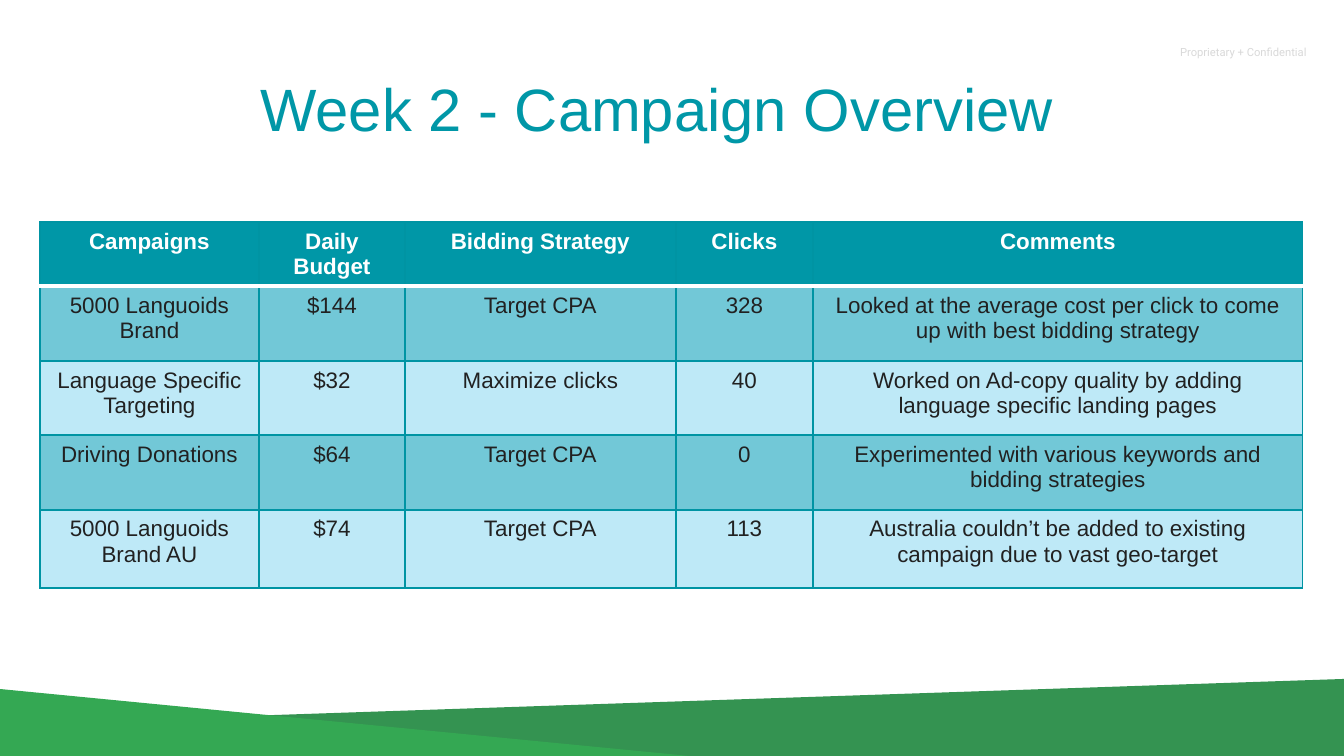
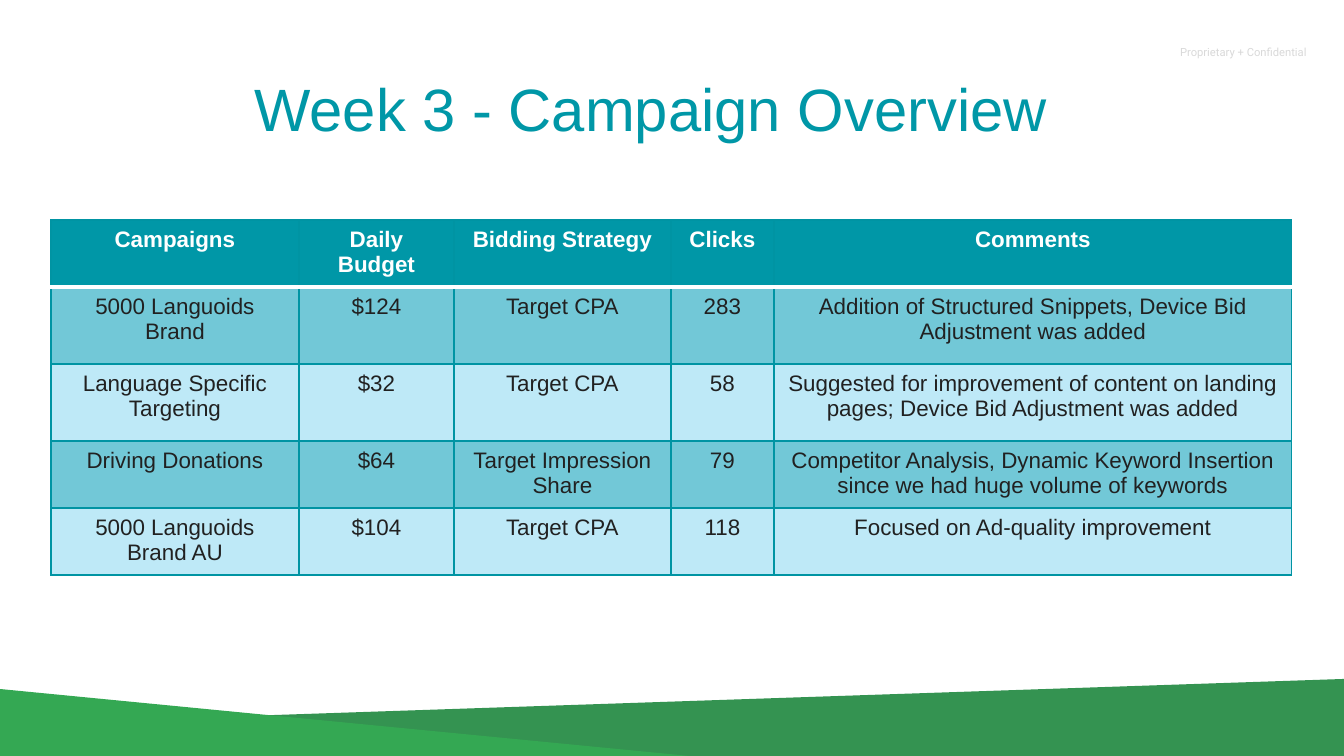
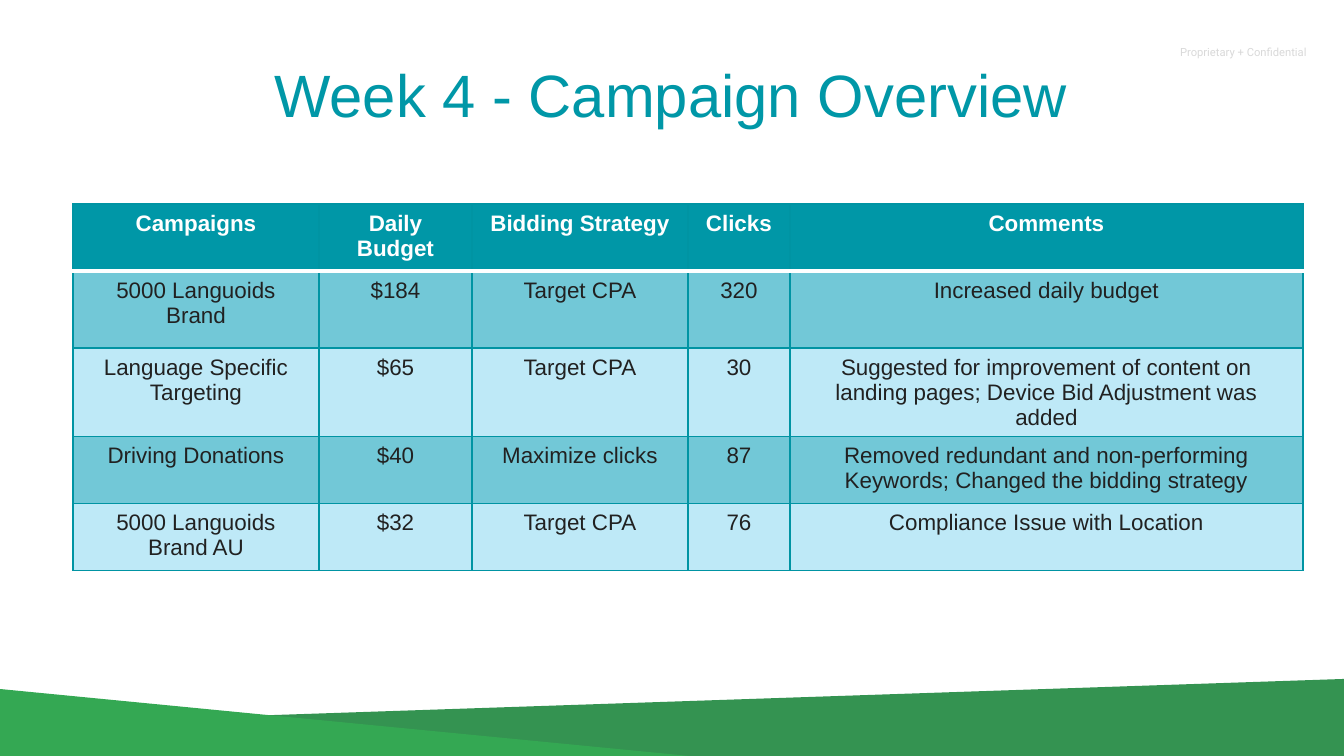
from dataclasses import dataclass

from pptx import Presentation
from pptx.dml.color import RGBColor
from pptx.enum.text import MSO_ANCHOR, MSO_AUTO_SIZE, PP_ALIGN
from pptx.oxml.ns import qn
from pptx.util import Pt
from lxml.etree import SubElement

EMU_PER_PX = 914400 / 134.4
SLIDE_SIZE = (1344, 756)
TITLE_SIZE = (972, 112)
INSET = 13

DARK_BAND = [(1348, 759), (1345, 679), (11, 724), (12, 755)]
LIGHT_BAND = [(699, 757), (-1, 689), (-1, 758)]

HEADINGS = ("Campaigns", "Daily Budget", "Bidding Strategy", "Clicks", "Comments")
CAMPAIGNS = (
    "5000 Languoids Brand",
    "Language Specific Targeting",
    "Driving Donations",
    "5000 Languoids Brand AU",
)

WEEKS = [
    {
        "number": 2,
        "title_at": (171, 52),
        "table_at": (40, 222),
        "columns": (219, 146, 271, 137, 490),
        "rows": (64, 75, 74, 75, 78),
        "results": [
            ("$144", "Target CPA", "328",
             "Looked at the average cost per click to come up with best bidding strategy"),
            ("$32", "Maximize clicks", "40",
             "Worked on Ad-copy quality by adding language specific landing pages"),
            ("$64", "Target CPA", "0",
             "Experimented with various keywords and bidding strategies"),
            ("$74", "Target CPA", "113",
             "Australia couldn’t be added to existing campaign due to vast geo-target"),
        ],
    },
    {
        "number": 3,
        "title_at": (165, 52),
        "table_at": (51, 220),
        "columns": (248, 155, 217, 103, 518),
        "rows": (67, 77, 77, 67, 67),
        "results": [
            ("$124", "Target CPA", "283",
             "Addition of Structured Snippets, Device Bid Adjustment was added"),
            ("$32", "Target CPA", "58",
             "Suggested for improvement of content on landing pages; "
             "Device Bid Adjustment was added"),
            ("$64", "Target Impression Share", "79",
             "Competitor Analysis, Dynamic Keyword Insertion "
             "since we had huge volume of keywords"),
            ("$104", "Target CPA", "118", "Focused on Ad-quality improvement"),
        ],
    },
    {
        "number": 4,
        "title_at": (185, 38),
        "table_at": (73, 204),
        "columns": (246, 153, 216, 102, 513),
        "rows": (67, 77, 77, 67, 67),
        "results": [
            ("$184", "Target CPA", "320", "Increased daily budget"),
            ("$65", "Target CPA", "30",
             "Suggested for improvement of content on landing pages; "
             "Device Bid Adjustment was added"),
            ("$40", "Maximize clicks", "87",
             "Removed redundant and non-performing Keywords; Changed the bidding strategy"),
            ("$32", "Target CPA", "76", "Compliance Issue with Location"),
        ],
    },
]


@dataclass(frozen=True)
class Theme:
    """Colours, fonts and type sizes of the deck."""

    accent: str = "0097A7"
    border: str = "0094A3"
    row_dark: str = "72C8D7"
    row_light: str = "BEE9F7"
    ink: str = "212121"
    white: str = "FFFFFF"
    faint: str = "D9D9D9"
    band_dark: str = "349351"
    band_light: str = "34A853"
    font: str = "Arial"
    notice_font: str = "Roboto"
    title_size: int = 32
    table_size: int = 12
    notice_size: int = 6
    border_width: float = 0.75
    header_rule: float = 2


def px(length):
    """Turn px into EMU."""
    return round(length * EMU_PER_PX)


def write_text(frame, text, *, size, color, font, bold=False, align=PP_ALIGN.CENTER):
    """Put one formatted paragraph into a text frame."""
    para = frame.paragraphs[0]
    para.alignment = align
    span = para.add_run()
    span.text = text
    span.font.size = Pt(size)
    span.font.name = font
    span.font.bold = bold
    span.font.color.rgb = RGBColor.from_string(color)


def set_border(cell, side, color, width):
    """Draw one side (L, R, T or B) of a table cell."""
    properties = cell._tc.get_or_add_tcPr()
    line = SubElement(properties, qn(f"a:ln{side}"), w=str(Pt(width)))
    fill = SubElement(line, qn("a:solidFill"))
    SubElement(fill, qn("a:srgbClr"), val=color)


class Report:
    """Holds the deck, its theme and the current slide."""

    def __init__(self, theme):
        """Start an empty deck."""
        self.theme = theme
        self.deck = Presentation()
        self.deck.slide_width, self.deck.slide_height = map(px, SLIDE_SIZE)
        self.layout = self.deck.slide_layouts[5]
        self.page = None

    def add_page(self):
        """Open a new title-only slide."""
        self.page = self.deck.slides.add_slide(self.layout)

    def set_frame(self, frame, anchor):
        """Give a text frame the shared insets and wrapping."""
        frame.auto_size = MSO_AUTO_SIZE.NONE
        frame.word_wrap = True
        frame.vertical_anchor = anchor
        frame.margin_left = frame.margin_right = px(INSET)
        frame.margin_top = frame.margin_bottom = px(INSET)

    def add_title(self, text, at):
        """Place and fill the title placeholder."""
        title = self.page.shapes.title
        title.left, title.top = map(px, at)
        title.width, title.height = map(px, TITLE_SIZE)
        self.set_frame(title.text_frame, MSO_ANCHOR.MIDDLE)
        write_text(title.text_frame, text, size=self.theme.title_size,
                   color=self.theme.accent, font=self.theme.font)

    def add_band(self, points, color):
        """Draw a filled outline and return it."""
        corners = [(px(x), px(y)) for x, y in points]
        builder = self.page.shapes.build_freeform(*corners[0])
        builder.add_line_segments(corners[1:], close=True)
        band = builder.convert_to_shape()
        band.shadow.inherit = False
        band.fill.solid()
        band.fill.fore_color.rgb = RGBColor.from_string(color)
        band.line.fill.background()
        return band

    def add_notice(self, text):
        """Add the small notice at the top right and return it."""
        box = self.page.shapes.add_textbox(*map(px, (1167, 32, 177, 44)))
        self.set_frame(box.text_frame, MSO_ANCHOR.TOP)
        write_text(box.text_frame, text, size=self.theme.notice_size,
                   color=self.theme.faint, font=self.theme.notice_font,
                   align=PP_ALIGN.LEFT)
        return box

    def share_backdrop(self):
        """Move the bands and the notice to the layout, in place of its footers."""
        for placeholder in list(self.layout.placeholders)[1:]:
            self.layout.shapes.element.remove(placeholder.element)
        backdrop = [
            self.add_band(DARK_BAND, self.theme.band_dark),
            self.add_band(LIGHT_BAND, self.theme.band_light),
            self.add_notice("Proprietary + Confidential"),
        ]
        for shape in backdrop:
            self.layout.shapes.element.append(shape.element)

    def add_table(self, records, at, columns, rows):
        """Add a table with a header row and alternating row fills."""
        frame = self.page.shapes.add_table(
            len(rows), len(columns), *map(px, (*at, sum(columns), sum(rows))))
        table = frame.table
        table.horz_banding = False
        for column, width in zip(table.columns, columns):
            column.width = px(width)
        for row, height in zip(table.rows, rows):
            row.height = px(height)
        for index, record in enumerate(records):
            for cell, text in zip(table.rows[index].cells, record):
                self.fill_cell(cell, text, index)

    def fill_cell(self, cell, text, row):
        """Write and style one cell according to its row."""
        theme = self.theme
        header = row == 0
        rule_side = {0: "B", 1: "T"}.get(row)
        for side in "LRTB":
            if side == rule_side:
                set_border(cell, side, theme.white, theme.header_rule)
            else:
                set_border(cell, side, theme.border, theme.border_width)
        stripe = theme.row_dark if row % 2 else theme.row_light
        cell.fill.solid()
        cell.fill.fore_color.rgb = RGBColor.from_string(
            theme.accent if header else stripe)
        write_text(cell.text_frame, text, size=theme.table_size, font=theme.font,
                   color=theme.white if header else theme.ink, bold=header)


def main():
    """Build one overview slide a week and save the deck."""
    report = Report(Theme())
    for index, week in enumerate(WEEKS):
        report.add_page()
        if index == 0:
            report.share_backdrop()
        report.add_title(f"Week {week['number']} - Campaign Overview", week["title_at"])
        records = [(name, *result) for name, result in zip(CAMPAIGNS, week["results"])]
        report.add_table([HEADINGS, *records], week["table_at"],
                         week["columns"], week["rows"])
    report.deck.save("out.pptx")


if __name__ == "__main__":
    main()
